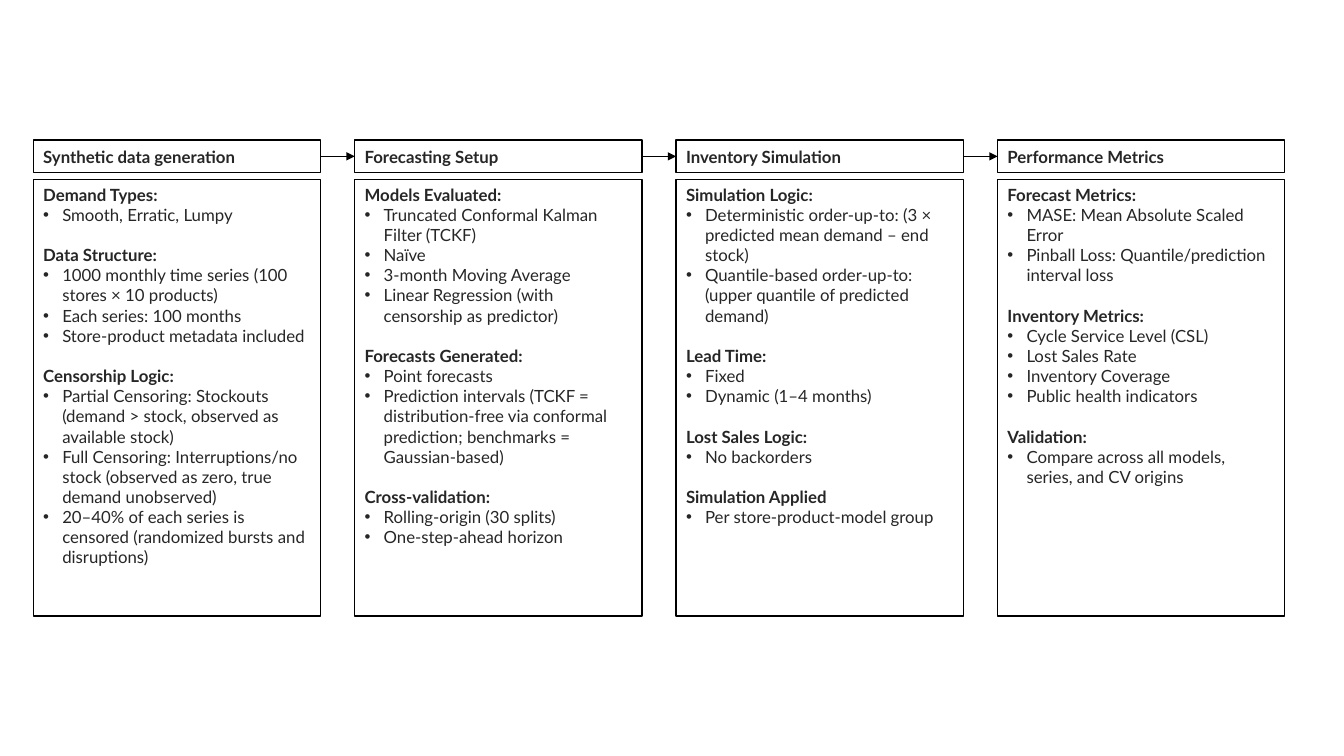
from pptx import Presentation
from pptx.dml.color import RGBColor as Rgb
from pptx.enum.shapes import MSO_CONNECTOR as Link, MSO_SHAPE as Kind
from pptx.enum.text import MSO_ANCHOR as Anchor, PP_ALIGN as Align
from pptx.oxml.ns import qn
from pptx.util import Cm, Pt
from lxml.etree import SubElement as Sub

STAGES = [
    ("Synthetic data generation", [
        ("Demand Types:", ["Smooth, Erratic, Lumpy"]),
        ("Data Structure:", [
            "1000 monthly time series (100 stores × 10 products)",
            "Each series: 100 months",
            "Store-product metadata included"]),
        ("Censorship Logic:", [
            "Partial Censoring: Stockouts (demand > stock, observed as available stock)",
            "Full Censoring: Interruptions/no stock (observed as zero, true demand unobserved)",
            "20–40% of each series is censored (randomized bursts and disruptions)"]),
    ]),
    ("Forecasting Setup", [
        ("Models Evaluated:", [
            "Truncated Conformal Kalman Filter (TCKF)",
            "Naïve",
            "3-month Moving Average",
            "Linear Regression (with censorship as predictor)"]),
        ("Forecasts Generated:", [
            "Point forecasts",
            "Prediction intervals (TCKF = distribution-free via conformal "
            "prediction; benchmarks = Gaussian-based)"]),
        ("Cross-validation:", ["Rolling-origin (30 splits)", "One-step-ahead horizon"]),
    ]),
    ("Inventory Simulation", [
        ("Simulation Logic:", [
            "Deterministic order-up-to: (3 × predicted mean demand – end stock)",
            "Quantile-based order-up-to: (upper quantile of predicted demand)"]),
        ("Lead Time:", ["Fixed", "Dynamic (1–4 months)"]),
        ("Lost Sales Logic:", ["No backorders"]),
        ("Simulation Applied", ["Per store-product-model group"]),
    ]),
    ("Performance Metrics", [
        ("Forecast Metrics:", [
            "MASE: Mean Absolute Scaled Error",
            "Pinball Loss: Quantile/prediction interval loss"]),
        ("Inventory Metrics:", [
            "Cycle Service Level (CSL)",
            "Lost Sales Rate",
            "Inventory Coverage",
            "Public health indicators"]),
        ("Validation:", ["Compare across all models, series, and CV origins"]),
    ]),
]
COLORS = {"line": "000000", "text": "262626"}
FONT, SIZE, GAP = "Lato", Pt(12), Pt(14.4)
LEFT, WIDTH, PITCH = Cm(0.84), Cm(7.24), Cm(8.1)
HEAD_TOP, HEAD_HIGH = Cm(3.53), Cm(0.82)
BODY_TOP, BODY_HIGH = Cm(4.52), Cm(11)
INDENT = Cm(0.48)


def add_box(slide, left, top, high, anchor):
    box = slide.shapes.add_shape(Kind.RECTANGLE, left, top, WIDTH, high)
    box.shadow.inherit = False
    box.fill.background()
    box.line.color.rgb = Rgb.from_string(COLORS["line"])
    box.line.width = Pt(1)
    box.text_frame.word_wrap = True
    box.text_frame.vertical_anchor = anchor
    return box.text_frame


def write(para, text, bold):
    para.text = text
    para.alignment = Align.LEFT
    font = para.runs[0].font
    font.name, font.size, font.bold = FONT, SIZE, bold
    font.color.rgb = Rgb.from_string(COLORS["text"])


def add_bullet(para):
    props = para._p.get_or_add_pPr()
    props.set("marL", str(INDENT))
    props.set("indent", str(-INDENT))
    Sub(props, qn("a:buFont")).set("typeface", "Arial")
    Sub(props, qn("a:buChar")).set("char", "•")


def fill_body(frame, groups):
    for i, (label, items) in enumerate(groups):
        para = frame.add_paragraph() if i else frame.paragraphs[0]
        write(para, label, True)
        if i:
            para.space_before = GAP
        for item in items:
            para = frame.add_paragraph()
            write(para, item, False)
            add_bullet(para)


def add_arrow(slide, start, end):
    mid = HEAD_TOP + HEAD_HIGH // 2
    arrow = slide.shapes.add_connector(Link.STRAIGHT, start, mid, end, mid)
    arrow.line.color.rgb = Rgb.from_string(COLORS["line"])
    arrow.line.width = Pt(1)
    Sub(arrow.line._get_or_add_ln(), qn("a:tailEnd")).set("type", "triangle")
    Sub(arrow._element.spPr, qn("a:effectLst"))


def main():
    deck = Presentation()
    deck.slide_width, deck.slide_height = Cm(33.87), Cm(19.05)
    slide = deck.slides.add_slide(deck.slide_layouts[6])
    for i, (name, groups) in enumerate(STAGES):
        left = LEFT + i * PITCH
        head = add_box(slide, left, HEAD_TOP, HEAD_HIGH, Anchor.MIDDLE)
        write(head.paragraphs[0], name, True)
        fill_body(add_box(slide, left, BODY_TOP, BODY_HIGH, Anchor.TOP), groups)
        if i:
            add_arrow(slide, left - PITCH + WIDTH, left)
    deck.save("out.pptx")


if __name__ == "__main__":
    main()
